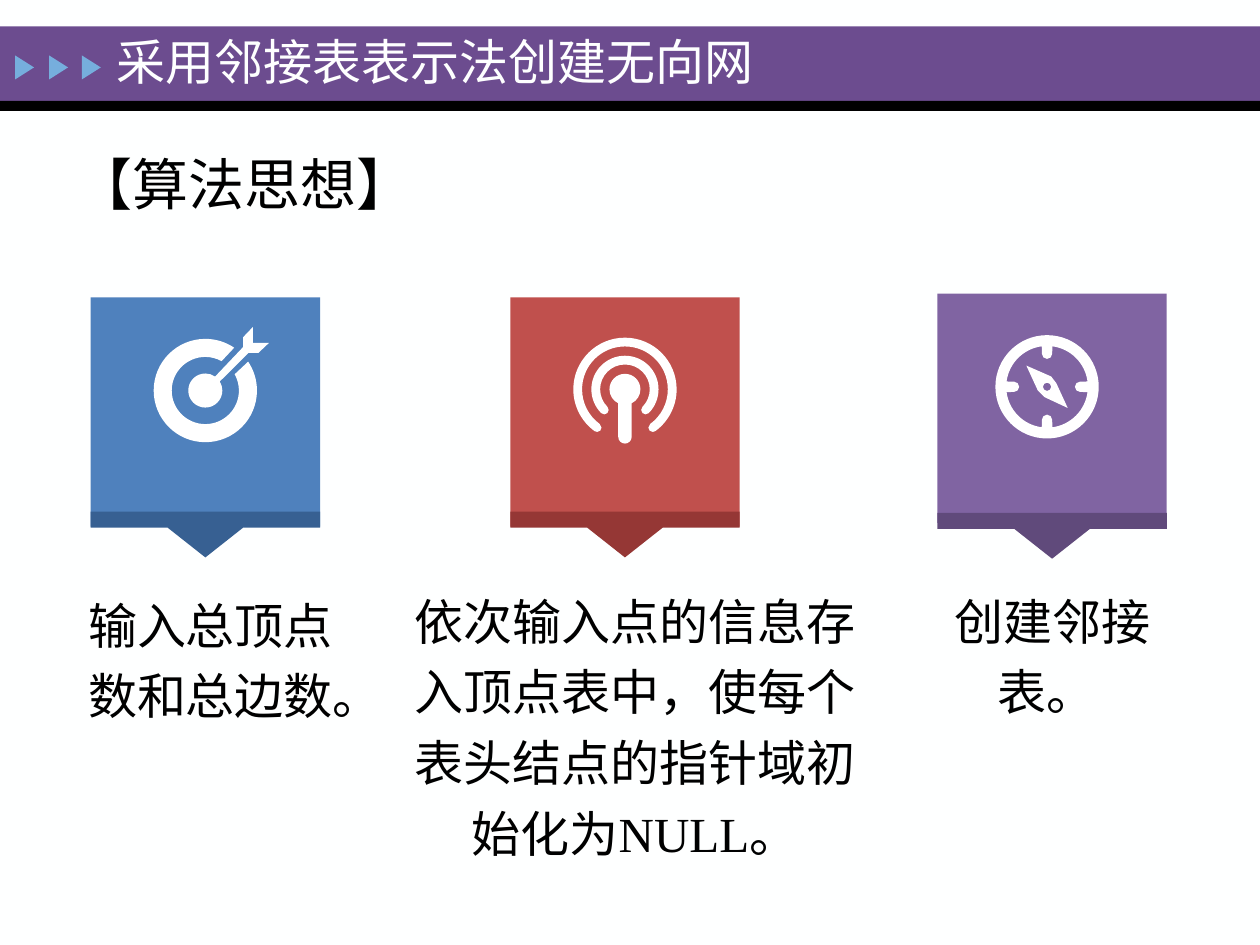
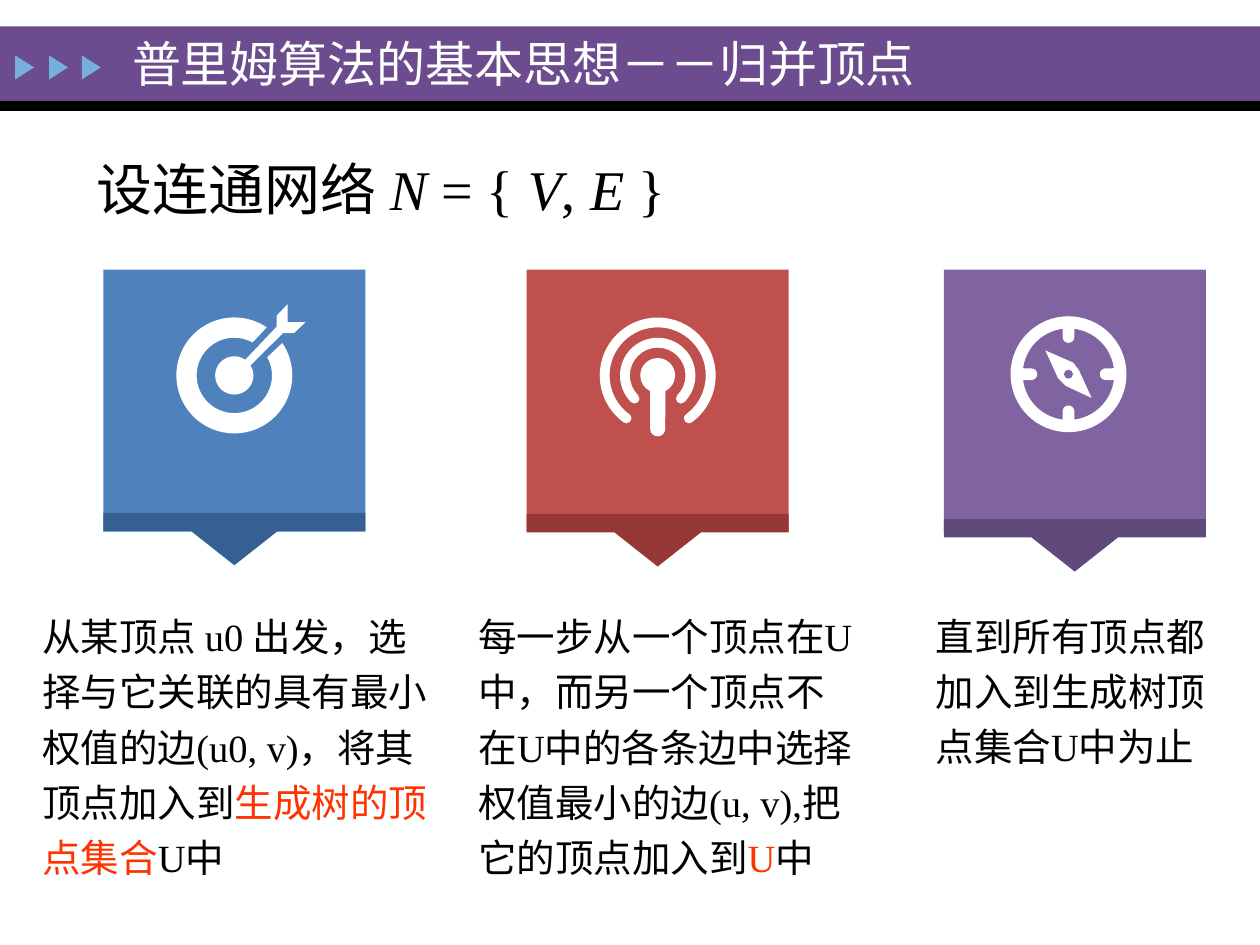
import math

import pptx
import pptx.dml.color
import pptx.enum.shapes
import pptx.enum.text
import pptx.oxml.ns
import pptx.util

Inches = pptx.util.Inches
Shapes = pptx.enum.shapes.MSO_SHAPE
Align = pptx.enum.text.PP_ALIGN
Anchor = pptx.enum.text.MSO_ANCHOR
qn = pptx.oxml.ns.qn

FONT = "Times New Roman"
WHITE, BLACK, PAPER, RED = "FFFFFF", "000000", "FEFFFF", "FF3300"
BAND, MARKER = "6C4C8F", "76AEDD"


def paint(item, colour):
    """Fill a shape or a font; shapes also lose their outline and shadow."""
    item.fill.solid()
    item.fill.fore_color.rgb = pptx.dml.color.RGBColor.from_string(colour)
    if hasattr(item, "shadow"):
        item.line.fill.background()
        item.shadow.inherit = False


def arc(radius, start, end, center_x=0, center_y=0):
    """Bezier triples (control, control, point) of an arc, cut at each quarter.

    Angles are in degrees, clockwise from the right; the first triple is the start point.
    """
    low, high = sorted((start, end))
    cuts = [low] + [a for a in range(-360, 811, 90) if low < a < high] + [high]
    angles = [math.radians(a) for a in (cuts if start < end else cuts[::-1])]
    triples = []
    for before, after in zip(angles[:1] + angles, angles):
        reach = 4 / 3 * math.tan((after - before) / 4)
        unit = [
            (math.cos(before) - reach * math.sin(before), math.sin(before) + reach * math.cos(before)),
            (math.cos(after) + reach * math.sin(after), math.sin(after) - reach * math.cos(after)),
            (math.cos(after), math.sin(after)),
        ]
        triples.append([(center_x + radius * u, center_y + radius * v) for u, v in unit])
    return triples


# Icon outlines, in units of the icon's outer radius; a corner is a triple of one point
fletching = [(0.73, -0.84), (0.73, -1.03), (0.92, -1.23), (0.92, -0.92),
             (1.23, -0.92), (1.03, -0.73), (0.84, -0.73)]
target = [
    arc(1, -34, 304) + arc(0.65, 299, -29),
    arc(0.33, -32, 305) + [[corner] * 3 for corner in fletching],
]

antenna = [arc(0.3, 116, 424) + arc(0.13, 0, 180, 0, 0.92)]
for outer, inner, start, end in ((1, 0.83, 126, 414), (0.65, 0.48, 135, 405)):
    middle, cap = (outer + inner) / 2, (outer - inner) / 2
    centerline = arc(middle, start, end)
    antenna.append(arc(outer, start, end) + arc(cap, end, end + 180, *centerline[-1][2])
                   + arc(inner, end, start) + arc(cap, start + 180, start + 360, *centerline[0][2]))

dial = []
for quarter in (0, 90, 180, 270):
    tick = quarter + 90
    tick_center = arc(0.64, quarter, tick)[-1][2]
    dial += arc(0.79, quarter + 7.5, quarter + 82.5) + arc(0.1, tick - 90, tick - 270, *tick_center)
needle = [(0.08, -0.2), (-0.4, -0.41), (-0.18, 0.07), (-0.05, 0.2), (0.4, 0.41), (0.18, -0.07)]
compass = [arc(1, 0, 360), dial, [[corner] * 3 for corner in needle], arc(0.08, 0, 360)]

# Card styles: square colour, base colour, icon
card_styles = [("4F81BD", "376092", target), ("C0504D", "953735", antenna), ("8064A2", "604A7B", compass)]

# Pointed base, in units of the square's width
base_outline = [(0, 0), (1, 0), (1, 0.07), (0.665, 0.07), (0.5, 0.2), (0.335, 0.07), (0, 0.07)]

# Slide contents
# cards: left, top, base top, icon centre x and y
# texts: box, runs (text, colour, italic), size, alignment, line spacing, anchor, inset
plain = (Align.LEFT, 1.0, Anchor.MIDDLE, True)
caption = (28, Align.CENTER, 1.2, Anchor.TOP, False)
step = (22, Align.LEFT, 1.2, Anchor.TOP, True)
slides = [
    {
        "side": 1.82, "radius": 0.41,
        "cards": [(0.72, 2.36, 4.06, 1.63, 3.1), (4.05, 2.36, 4.06, 4.96, 3.09),
                  (7.44, 2.33, 4.07, 8.31, 3.07)],
        "texts": [
            ((0.51, 1.12, 4.13, 0.66), [("【算法思想】", BLACK, False)], 32, *plain),
            ((0.83, 0.2, 6.61, 0.56), [("采用邻接表表示法创建无向网", PAPER, False)], 28, *plain),
            ((0.64, 4.63, 2.06, 0.51), [("输入总顶点数和总边数。", BLACK, False)], *caption),
            ((3.19, 4.6, 3.7, 0.51),
             [("依次输入点的信息存入顶点表中，使每个表头结点的指针域初始化为NULL。", BLACK, False)], *caption),
            ((7.44, 4.6, 1.82, 0.51), [("创建邻接表。 ", BLACK, False)], *caption),
        ],
    },
    {
        "side": 2.08, "radius": 0.46,
        "cards": [(0.82, 2.14, 4.07, 1.86, 2.98), (4.18, 2.14, 4.08, 5.22, 2.98),
                  (7.49, 2.14, 4.12, 8.48, 2.97)],
        "texts": [
            ((0.67, 1.12, 9.65, 0.79),
             [("设连通网络 ", BLACK, False), ("N", BLACK, True), (" = { ", BLACK, False), ("V", BLACK, True),
              (", ", BLACK, False), ("E", BLACK, True), (" }", BLACK, False)],
             32, Align.JUSTIFY, 1.1, Anchor.TOP, True),
            ((0.95, 0.22, 7.56, 0.56), [("普里姆算法的基本思想－－归并顶点", PAPER, False)], 28, *plain),
            ((0.24, 4.74, 3.34, 2.32),
             [("从某顶点 u0 出发，选择与它关联的具有最小权值的边(u0, v)，将其顶点加入到", BLACK, False),
              ("生成树的顶点集合", RED, False), ("U中", BLACK, False)], *step),
            ((3.7, 4.74, 3.19, 2.32),
             [("每一步从一个顶点在U中，而另一个顶点不在U中的各条边中选择权值最小的边(u, v),把它的顶点加入到",
               BLACK, False), ("U", RED, False), ("中", BLACK, False)], *step),
            ((7.33, 4.74, 2.4, 1.43), [("直到所有顶点都加入到生成树顶点集合U中为止", BLACK, False)], *step),
        ],
    },
]

presentation = pptx.Presentation()
presentation.slide_width, presentation.slide_height = Inches(10), Inches(7.5)

for content in slides:
    slide = presentation.slides.add_slide(presentation.slide_layouts[6])
    paint(slide.background, PAPER)

    # Title band, rule and three markers
    for top, height, colour in ((0.21, 0.59, BAND), (0.8, 0.08, BLACK)):
        band = slide.shapes.add_shape(Shapes.RECTANGLE, 0, Inches(top), Inches(10), Inches(height))
        paint(band, colour)
    for left in (0.1, 0.37, 0.63):
        marker = slide.shapes.add_shape(
            Shapes.ISOSCELES_TRIANGLE, Inches(left), Inches(0.46), Inches(0.19), Inches(0.15))
        marker.rotation = 90
        paint(marker, MARKER)

    # Cards: square, pointed base, icon
    side, radius = content["side"], content["radius"]
    for (left, top, base_top, icon_x, icon_y), (square_colour, base_colour, icon) in zip(
            content["cards"], card_styles):
        card = slide.shapes.add_group_shape()
        square = card.shapes.add_shape(
            Shapes.RECTANGLE, Inches(left), Inches(top), Inches(side), Inches(side))
        paint(square, square_colour)

        corners = [(Inches(left + side * u), Inches(base_top + side * v)) for u, v in base_outline]
        builder = card.shapes.build_freeform(*corners[0])
        builder.add_line_segments(corners[1:], close=True)
        paint(builder.convert_to_shape(), base_colour)

        builder = None
        for contour in icon:
            # Leave out joints where one arc starts at the end of the last
            kept = [contour[0]] + [triple for before, triple in zip(contour, contour[1:])
                                   if math.dist(before[2], triple[2]) > 0.01]
            points = [(Inches(icon_x + radius * u), Inches(icon_y + radius * v))
                      for triple in kept for u, v in triple][2:]
            if builder is None:
                builder = card.shapes.build_freeform(*points[0])
            else:
                builder.move_to(*points[0])
            builder.add_line_segments(points[1:], close=True)
        symbol = builder.convert_to_shape()
        paint(symbol, WHITE)

        # Turn each three line points into one Bezier segment
        segments = list(symbol._element.iter(qn("a:lnTo")))
        for first, second, third in zip(segments[::3], segments[1::3], segments[2::3]):
            first.tag = qn("a:cubicBezTo")
            for extra in (second, third):
                first.append(extra[0])
                extra.getparent().remove(extra)

    # Texts
    for box, runs, size, alignment, spacing, anchor, inset in content["texts"]:
        frame = slide.shapes.add_textbox(*map(Inches, box)).text_frame
        frame.word_wrap = True
        frame.vertical_anchor = anchor
        if not inset:
            frame.margin_left = frame.margin_right = frame.margin_top = frame.margin_bottom = 0
        paragraph = frame.paragraphs[0]
        paragraph.alignment = alignment
        paragraph.line_spacing = spacing
        paragraph.font.name = FONT
        paragraph.font.size = pptx.util.Pt(size)
        main_colour = runs[0][1]
        paint(paragraph.font, main_colour)
        for text, colour, italic in runs:
            run = paragraph.add_run()
            run.text = text
            if colour != main_colour:
                paint(run.font, colour)
            if italic:
                run.font.italic = True

presentation.save("out.pptx")
